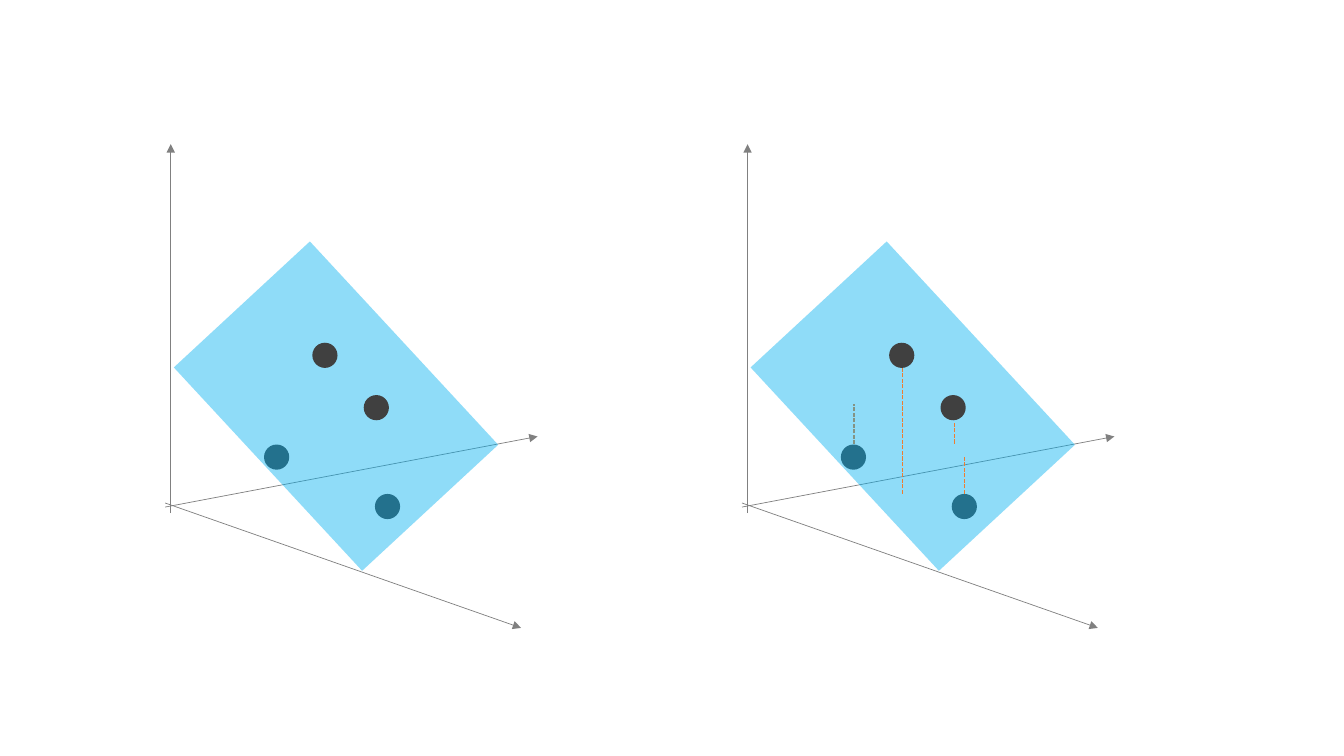
from lxml.etree import SubElement
from pptx import Presentation
from pptx.dml.color import RGBColor
from pptx.enum.dml import MSO_LINE
from pptx.enum.shapes import MSO_CONNECTOR, MSO_SHAPE
from pptx.oxml.ns import qn
from pptx.util import Pt

COLORS = {"axis": "808080", "dot": "404040", "plane": "00B0F0", "residual": "ED7D31"}
PLANE_ALPHA = 44
PLANE_ROTATION = 47.2
DOT_SIZE = 18

LEFT_PANEL = 118
RIGHT_PANEL = 530
AXES = [
    (0, 359.3, 254.2, 448.5),
    (4, 366.5, 4, 103),
    (0, 362.2, 266, 311.8),
]
PLANE = (23, 223.9, 198, 132.5)
DOTS_BELOW = [(149.8, 352.8), (70.6, 317.5)]
DOTS_ABOVE = [(141.8, 282.2), (105.1, 244.8)]
RESIDUALS_BEHIND = [(79.9, 317.5, 288.7)]
RESIDUALS_FRONT = [(114.5, 352.8, 262.8), (151.9, 316.8, 301.7), (159.1, 352.8, 326.2)]


class Diagram:
    def __init__(self, slide):
        self.slide = slide
        self.left = 0

    def shape(self, parent, kind, box, color):
        left, top, width, height = box
        shape = parent.add_shape(
            kind, Pt(self.left + left), Pt(top), Pt(width), Pt(height)
        )
        shape.shadow.inherit = False
        shape.fill.solid()
        shape.fill.fore_color.rgb = RGBColor.from_string(COLORS[color])
        shape.line.fill.background()
        return shape

    def line(self, parent, ends, color, width):
        x1, y1, x2, y2 = ends
        connector = parent.add_connector(
            MSO_CONNECTOR.STRAIGHT,
            Pt(self.left + x1), Pt(y1), Pt(self.left + x2), Pt(y2),
        )
        connector.line.color.rgb = RGBColor.from_string(COLORS[color])
        connector.line.width = Pt(width)
        SubElement(connector._element.spPr, qn("a:effectLst"))
        return connector

    def axes(self):
        group = self.slide.shapes.add_group_shape()
        for ends in AXES:
            connector = self.line(group.shapes, ends, "axis", 0.5)
            SubElement(connector.line._get_or_add_ln(), qn("a:tailEnd"), type="triangle")

    def plane(self):
        shape = self.shape(self.slide.shapes, MSO_SHAPE.RECTANGLE, PLANE, "plane")
        shape.rotation = PLANE_ROTATION
        color = shape._element.spPr.find(qn("a:solidFill"))[0]
        SubElement(color, qn("a:alpha"), val=str(PLANE_ALPHA * 1000))

    def dots(self, parent, corners):
        for left, top in corners:
            self.shape(parent, MSO_SHAPE.OVAL, (left, top, DOT_SIZE, DOT_SIZE), "dot")

    def residuals(self, stems):
        for x, bottom, top in stems:
            connector = self.line(self.slide.shapes, (x, bottom, x, top), "residual", 1)
            connector.line.dash_style = MSO_LINE.SQUARE_DOT

    def panel(self, left, behind=(), front=()):
        self.left = left
        self.residuals(behind)
        self.dots(self.slide.shapes.add_group_shape().shapes, DOTS_BELOW)
        self.axes()
        self.plane()
        self.dots(self.slide.shapes, DOTS_ABOVE)
        self.residuals(front)


def main():
    presentation = Presentation()
    presentation.slide_width = Pt(960)
    presentation.slide_height = Pt(540)
    slide = presentation.slides.add_slide(presentation.slide_layouts[6])
    diagram = Diagram(slide)
    diagram.panel(RIGHT_PANEL, RESIDUALS_BEHIND, RESIDUALS_FRONT)
    diagram.panel(LEFT_PANEL)
    presentation.save("out.pptx")


if __name__ == "__main__":
    main()
